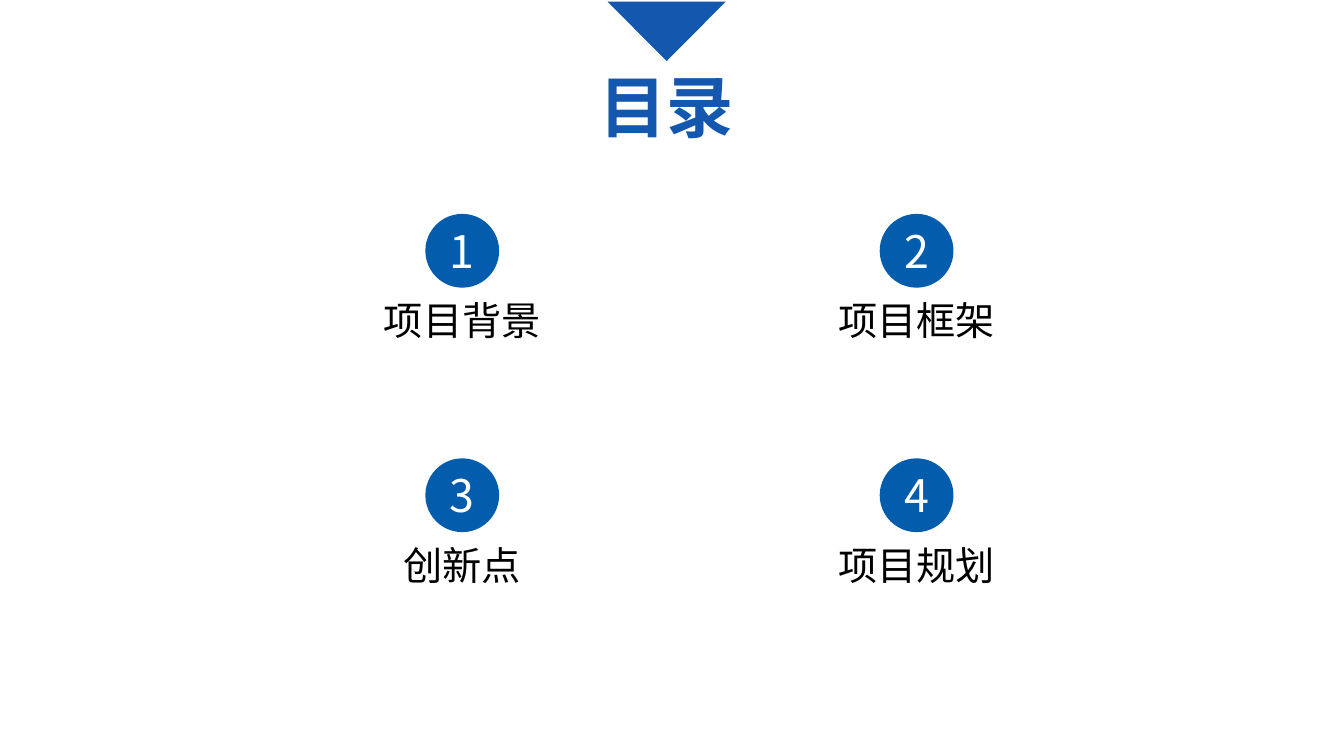
from dataclasses import dataclass

from lxml.etree import SubElement
from pptx import Presentation
from pptx.dml.color import RGBColor
from pptx.enum.shapes import MSO_SHAPE as Shape
from pptx.enum.text import MSO_ANCHOR as Anchor, PP_ALIGN as Align
from pptx.oxml.ns import qn
from pptx.util import Cm, Pt

# Content
TITLE = "目录"
CHAPTERS = ["项目背景", "项目框架", "创新点", "项目规划"]


@dataclass(frozen=True)
class Theme:
    font: str = "Noto Sans CJK SC"
    title_blue: str = "1357AE"
    badge_blue: str = "035CAC"
    number: str = "FFFFFF"
    label: str = "000000"
    title_size: int = 48
    number_size: int = 32
    label_size: int = 28


THEME = Theme()

# Layout in centimetres
TITLE_CENTER = 16.8
COLUMNS = 2
FIRST_CENTER, FIRST_TOP = 11.65, 5.39
COLUMN_PITCH, ROW_PITCH = 11.45, 6.16
BADGE = 1.86


def add_figure(slide, kind, center, top, width, height, color):
    figure = slide.shapes.add_shape(
        kind, Cm(center - width / 2), Cm(top), Cm(width), Cm(height))
    figure.shadow.inherit = False
    figure.fill.solid()
    figure.fill.fore_color.rgb = RGBColor.from_string(color)
    figure.line.fill.background()
    return figure


def add_text(slide, text, center, top, width, height, size, color, bold=False):
    box = slide.shapes.add_textbox(
        Cm(center - width / 2), Cm(top), Cm(width), Cm(height))
    frame = box.text_frame
    frame.word_wrap = True
    frame.vertical_anchor = Anchor.MIDDLE
    frame.margin_left = frame.margin_right = 0
    frame.margin_top = frame.margin_bottom = 0
    paragraph = frame.paragraphs[0]
    paragraph.alignment = Align.CENTER
    run = paragraph.add_run()
    run.text = text
    run.font.size = Pt(size)
    run.font.bold = bold
    run.font.color.rgb = RGBColor.from_string(color)
    run.font.name = THEME.font
    # East Asian typeface
    SubElement(run._r.get_or_add_rPr(), qn("a:ea"), typeface=THEME.font)


def add_chapter(slide, index, label):
    row, column = divmod(index, COLUMNS)
    center = FIRST_CENTER + column * COLUMN_PITCH
    top = FIRST_TOP + row * ROW_PITCH
    badge = add_figure(slide, Shape.ROUNDED_RECTANGLE, center, top,
                       BADGE, BADGE, THEME.badge_blue)
    badge.adjustments[0] = 0.5
    add_text(slide, str(index + 1), center, top + 0.1, 1.17, 1.63,
             THEME.number_size, THEME.number)
    add_text(slide, label, center, top + 1.95, 7.34, 1.45,
             THEME.label_size, THEME.label)


def main():
    deck = Presentation()
    deck.slide_width, deck.slide_height = Cm(33.87), Cm(19.05)
    slide = deck.slides.add_slide(deck.slide_layouts[6])

    # Heading with its pointer
    pointer = add_figure(slide, Shape.ISOSCELES_TRIANGLE, TITLE_CENTER, 0.04,
                         2.98, 1.5, THEME.title_blue)
    pointer.rotation = 180
    add_text(slide, TITLE, TITLE_CENTER, 1.5, 3.94, 2.31,
             THEME.title_size, THEME.title_blue, bold=True)

    # Chapter grid
    for index, label in enumerate(CHAPTERS):
        add_chapter(slide, index, label)

    deck.save("out.pptx")


if __name__ == "__main__":
    main()
